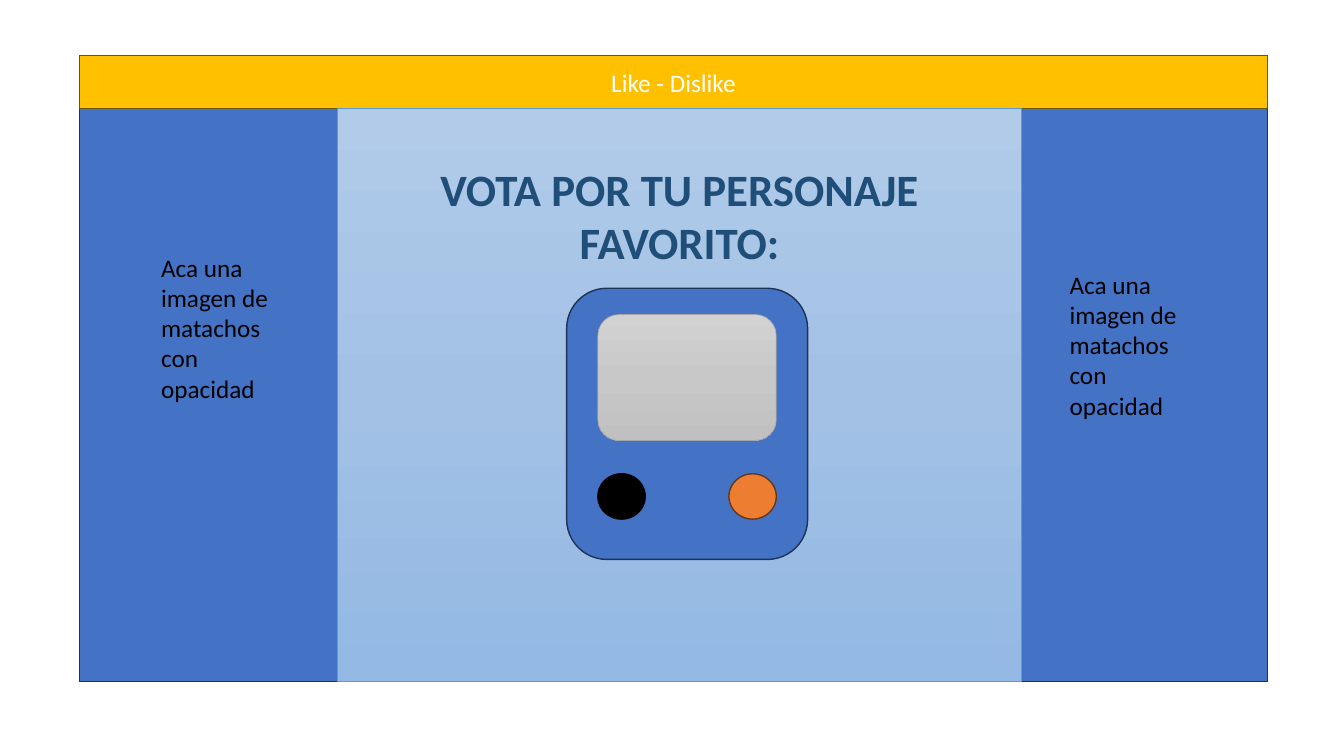
from copy import deepcopy
from dataclasses import dataclass

from lxml import etree
from pptx import Presentation
from pptx import util as u
from pptx.dml.color import RGBColor
from pptx.enum import shapes, text
from pptx.oxml.ns import qn

KIND = shapes.MSO_SHAPE


@dataclass(frozen=True)
class Theme:
    font: str = "Calibri"
    body: int = 18
    head: int = 32
    blue: str = "4472C4"
    navy: str = "1E3256"
    gold: str = "FFC000"
    brown: str = "705400"
    sky: tuple = ("B1CBE9", "A3C1E5", "93B9E4")
    rim: str = "5B9BD5"
    glass: tuple = ("D2D2D2", "C8C8C8", "C0C0C0")
    gray: str = "A5A5A5"
    orange: str = "ED7D31"
    rust: str = "683715"
    title: str = "1F4E79"
    black: str = "000000"
    white: str = "FFFFFF"


T = Theme()


def rgb(code):
    return RGBColor.from_string(code)


def blend(shape, colors):
    """Fill a shape from top to bottom with three evenly spaced colours."""
    fill = shape.fill
    fill.gradient()
    fill.gradient_angle = 270
    first = shape._element.spPr.find(".//" + qn("a:gs"))
    first.addnext(deepcopy(first))
    for i, (stop, color) in enumerate(zip(fill.gradient_stops, colors)):
        stop.position = i / 2
        stop.color.rgb = rgb(color)


def draw(slide, kind, box, fill, line, width=1):
    shape = slide.shapes.add_shape(kind, *map(u.Inches, box))
    shape.shadow.inherit = False
    if isinstance(fill, tuple):
        blend(shape, fill)
    else:
        shape.fill.solid()
        shape.fill.fore_color.rgb = rgb(fill)
    shape.line.color.rgb = rgb(line)
    shape.line.width = u.Pt(width)
    return shape


def write(shape, words, size, color, align, bold=False):
    frame = shape.text_frame
    frame.word_wrap = True
    para = frame.paragraphs[0]
    para.alignment = align
    run = para.add_run()
    run.text = words
    font = run.font
    font.name, font.size, font.bold = T.font, u.Pt(size), bold
    font.color.rgb = rgb(color)
    return run


def edge(run, color, width):
    """Outline the letters of a run."""
    line = etree.Element(qn("a:ln"), w=str(u.Pt(width)))
    fill = etree.SubElement(line, qn("a:solidFill"))
    etree.SubElement(fill, qn("a:srgbClr"), val=color)
    run.font._element.insert(0, line)


def label(slide, box, *style):
    area = slide.shapes.add_textbox(*map(u.Inches, box))
    return write(area, *style)


def banner(slide, box):
    bar = draw(slide, KIND.RECTANGLE, box, T.gold, T.brown)
    bar.text_frame.vertical_anchor = text.MSO_ANCHOR.MIDDLE
    write(bar, "Like - Dislike", T.body, T.white, text.PP_ALIGN.CENTER)


def device(slide, box):
    x, y, w, h = box
    pad = 0.31
    draw(slide, KIND.ROUNDED_RECTANGLE, box, T.blue, T.navy)
    draw(slide, KIND.ROUNDED_RECTANGLE, (x + pad, y + 0.26, w - 2 * pad, 1.25),
         T.glass, T.gray, 0.5)
    wide, tall = 0.47, 0.45
    knobs = ((x + pad, T.black, T.black),
             (x + w - pad - wide, T.orange, T.rust))
    for left, fill, line in knobs:
        draw(slide, KIND.OVAL, (left, y + 1.84, wide, tall), fill, line)


def center(slide, box):
    x, y, w, h = box
    draw(slide, KIND.RECTANGLE, box, T.sky, T.rim, 0.5)
    device(slide, (x + 2.27, y + 1.78, 2.39, 2.69))
    run = label(slide, (x, y + 0.47, w, 1.18), "VOTA POR TU PERSONAJE FAVORITO:",
                T.head, T.title, text.PP_ALIGN.CENTER, True)
    edge(run, T.white, 0.75)


def notes(slide, box):
    x, y, w, h = box
    for left, top in ((0.71, 1.9), (9.72, 2.07)):
        label(slide, (x + left, y + top, 1.37, 1.62),
              "Aca una imagen de matachos con opacidad",
              T.body, T.black, text.PP_ALIGN.LEFT)


def page(slide, box):
    x, y, w, h = box
    bar = 0.53
    draw(slide, KIND.RECTANGLE, box, T.blue, T.navy)
    banner(slide, (x, y, w, bar))
    center(slide, (x + 2.56, y + bar, 6.78, h - bar))
    notes(slide, box)


def main():
    deck = Presentation()
    deck.slide_width, deck.slide_height = u.Inches(13.33), u.Inches(7.5)
    slide = deck.slides.add_slide(deck.slide_layouts[6])
    page(slide, (0.79, 0.55, 11.78, 6.21))
    deck.save("out.pptx")


if __name__ == "__main__":
    main()
